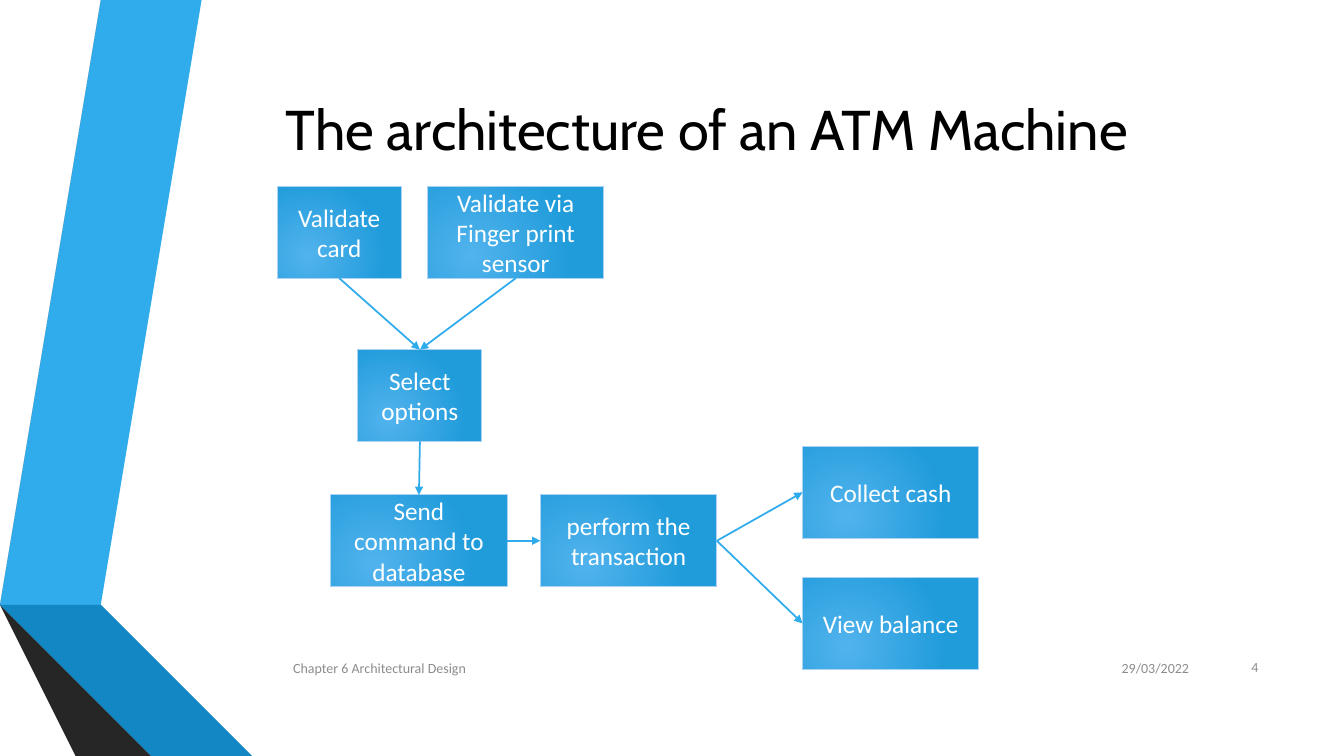
from lxml import etree
from pptx import Presentation
from pptx import util as u
from pptx.dml import color
from pptx.enum import shapes, text
from pptx.oxml import ns

ACCENT = "30ACEC"
RIBBONS = [
    (ACCENT, [(0.5, 5.78), (0.77, 5.83), (1.73, 0), (1.45, 0)]),
    ("595959", [(1.39, 0), (1.11, 0), (0.16, 5.73), (0.44, 5.77)]),
    ("262626", [(0.16, 5.73), (1.45, 7.5), (1.51, 7.5)]),
    ("0C5A82", [(0.5, 5.79), (2.08, 7.5), (2.14, 7.5)]),
    ("1287C3", [(0.5, 5.79), (2.14, 7.5), (2.83, 7.5), (0.77, 5.83), (0.5, 5.78)]),
    ("404040", [(2.02, 7.5), (0.48, 5.83), (0.43, 5.77), (0.16, 5.73), (1.51, 7.5)]),
]
NARROW, WIDE, STEP_HEIGHT = 1.23, 1.75, 0.91
STEPS = {
    "Validate card": (0, 0, NARROW),
    "Select options": (0.8, 1.62, NARROW),
    "Send command to database": (0.53, 3.06, WIDE),
    "Validate via Finger print sensor": (1.49, 0, WIDE),
    "perform the transaction": (2.61, 3.06, WIDE),
    "View balance": (5.21, 3.88, WIDE),
    "Collect cash": (5.21, 2.58, WIDE),
}
TOP, LEFT, BOTTOM, RIGHT = range(4)
FLOWS = [
    ("Validate card", BOTTOM, "Select options", TOP),
    ("Validate via Finger print sensor", BOTTOM, "Select options", TOP),
    ("Select options", BOTTOM, "Send command to database", TOP),
    ("Send command to database", RIGHT, "perform the transaction", LEFT),
    ("perform the transaction", RIGHT, "Collect cash", LEFT),
    ("perform the transaction", RIGHT, "View balance", LEFT),
]


def rgb(value):
    """Turn a hex string into a colour."""
    return color.RGBColor.from_string(value)


def write(shape, words, size, ink, align, font="Calibri"):
    """Write one paragraph, vertically centred, into a shape."""
    frame = shape.text_frame
    frame.word_wrap = True
    frame.vertical_anchor = text.MSO_ANCHOR.MIDDLE
    para = frame.paragraphs[0]
    para.alignment = align
    span = para.add_run()
    span.text = words
    span.font.name = font
    span.font.size = u.Pt(size)
    span.font.color.rgb = rgb(ink)


def add_label(page, box, *style):
    """Place a text box in the given box."""
    label = page.shapes.add_textbox(*map(u.Inches, box))
    write(label, *style)


def add_ribbons(page, left, top):
    """Draw the folded ribbons from the given corner."""
    for fill, points in RIBBONS:
        corners = [(left + x, top + y) for x, y in points]
        builder = page.shapes.build_freeform(*corners[0], scale=u.Inches(1))
        builder.add_line_segments(corners[1:], close=True)
        ribbon = builder.convert_to_shape()
        ribbon.shadow.inherit = False
        ribbon.fill.solid()
        ribbon.fill.fore_color.rgb = rgb(fill)
        ribbon.line.fill.background()


def glow(shape):
    """Fill a shape with the radial blue gradient."""
    shape.fill.gradient()
    for stop, (position, tone) in zip(shape.fill.gradient_stops, [(0, "51B3ED"), (1, "219CDB")]):
        stop.position = position
        stop.color.rgb = rgb(tone)
    gradient = shape.element.spPr.find(ns.qn("a:gradFill"))
    linear = gradient.find(ns.qn("a:lin"))
    radial = etree.Element(ns.qn("a:path"), path="circle")
    etree.SubElement(radial, ns.qn("a:fillToRect"), l="50000", t="100000", r="100000", b="50000")
    gradient.replace(linear, radial)


def add_step(page, box, words):
    """Add one step of the flow in the given box."""
    step = page.shapes.add_shape(shapes.MSO_SHAPE.RECTANGLE, *map(u.Inches, box))
    step.shadow.inherit = False
    glow(step)
    step.line.color.rgb = rgb("AED2F4")
    step.line.width = u.Pt(0.75)
    write(step, words, 18, "FFFFFF", text.PP_ALIGN.CENTER)
    return step


def add_arrow(page, source, exit_side, target, entry_side):
    """Join two steps with an arrow."""
    arrow = page.shapes.add_connector(shapes.MSO_CONNECTOR.STRAIGHT, 0, 0, 0, 0)
    arrow.begin_connect(source, exit_side)
    arrow.end_connect(target, entry_side)
    arrow.line.color.rgb = rgb(ACCENT)
    arrow.line.width = u.Pt(1.25)
    properties = arrow.element.spPr
    etree.SubElement(properties.find(ns.qn("a:ln")), ns.qn("a:tailEnd"), type="triangle")
    etree.SubElement(properties, ns.qn("a:effectLst"))


def add_flow(page, left, top):
    """Draw the steps and arrows from the given corner."""
    steps = {
        words: add_step(page, (left + x, top + y, width, STEP_HEIGHT), words)
        for words, (x, y, width) in STEPS.items()
    }
    for source, exit_side, target, entry_side in FLOWS:
        add_arrow(page, steps[source], exit_side, steps[target], entry_side)


def add_footer(page, left, top):
    """Place chapter, date and page number in a row."""
    for x, y, width, words, align in [
        (0, 0.01, 7.75, "Chapter 6 Architectural Design", text.PP_ALIGN.LEFT),
        (7.83, 0.01, 1.25, "29/03/2022", text.PP_ALIGN.RIGHT),
        (9.17, 0, 0.6, "4", text.PP_ALIGN.RIGHT),
    ]:
        add_label(page, (left + x, top + y, width, 0.4), words, 10, "8C8C8C", align)


def main():
    """Build the slide and save the deck."""
    deck = Presentation()
    deck.slide_width, deck.slide_height = u.Inches(13.33), u.Inches(7.5)
    page = deck.slides.add_slide(deck.slide_layouts[6])
    add_ribbons(page, 0, 0)
    add_label(page, (1.53, 0.31, 10.96, 1.92), "The architecture of an ATM Machine",
              40, "000000", text.PP_ALIGN.CENTER, "Cabin")
    add_footer(page, 2.81, 6.42)
    add_flow(page, 2.75, 1.85)
    deck.save("out.pptx")


if __name__ == "__main__":
    main()
